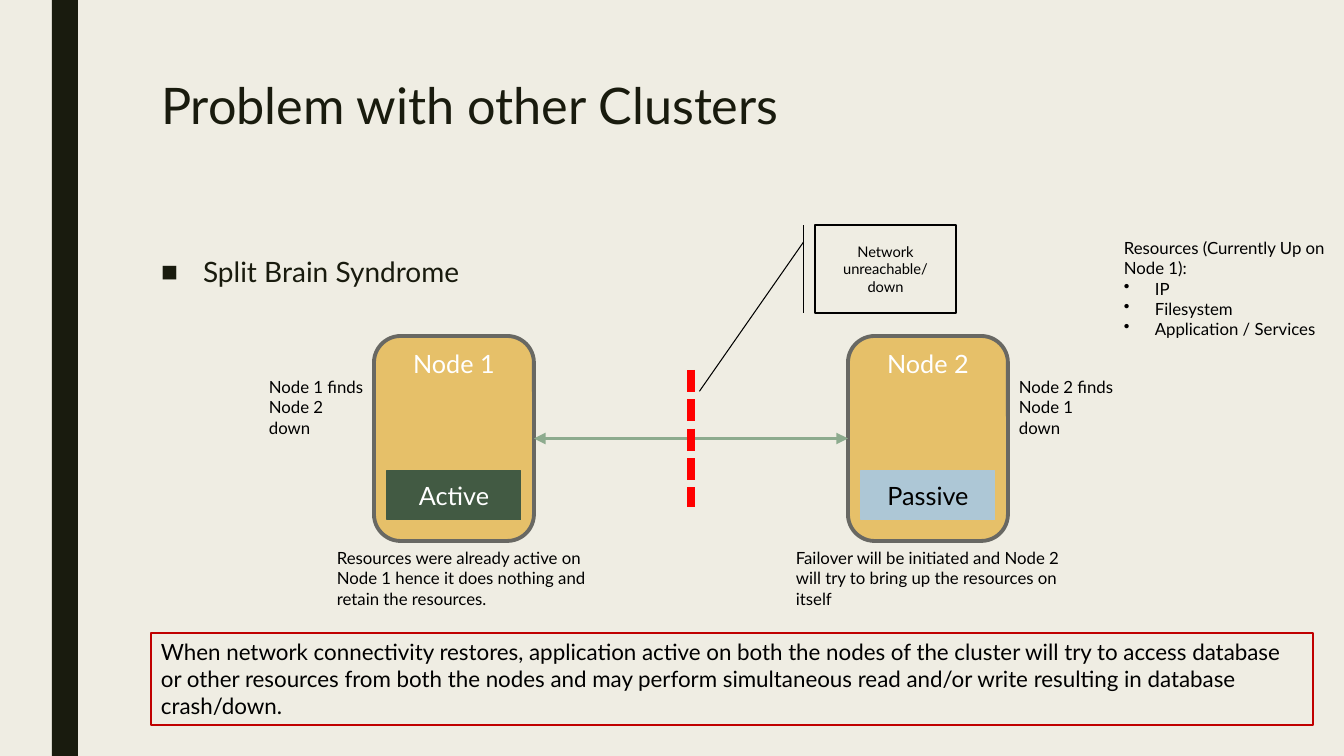
from lxml.etree import SubElement
from pptx import Presentation
from pptx.dml.color import RGBColor
from pptx.enum.dml import MSO_LINE
from pptx.enum.shapes import MSO_CONNECTOR, MSO_SHAPE
from pptx.enum.text import MSO_ANCHOR as ANCHOR, MSO_AUTO_SIZE as FIT, PP_ALIGN as ALIGN
from pptx.oxml.ns import qn
from pptx.util import Emu, Pt

BACK, INK, BLACK, WHITE = "EFEDE3", "191B0E", "000000", "FFFFFF"
GOLD, GREY, GREEN, BLUE = "E6C069", "686863", "425A43", "ADC7D6"
SAGE, RED, DARK_RED = "8DAB8E", "FF0000", "C00000"


def px(n):
    """Turn pixels into EMU."""
    return Emu(round(n * 914400 / 100.8))


def rgb(code):
    """Turn a hex string into a colour."""
    return RGBColor.from_string(code)


class Deck:
    """Holds the style and the current slide."""

    font = "Lato"

    def __init__(self, prs):
        """Add a title-and-content slide with the background colour."""
        self.s = prs.slides.add_slide(prs.slide_layouts[1])
        fill = self.s.background.fill
        fill.solid()
        fill.fore_color.rgb = rgb(BACK)

    def add_text(self, p, text, size, color):
        """Add one run to a paragraph."""
        r = p.add_run()
        r.text = text
        r.font.name, r.font.size = self.font, Pt(size)
        r.font.color.rgb = rgb(color)

    def bullet(self, p, char, indent):
        """Give a paragraph a bullet and a hanging indent in pixels."""
        pPr = p._p.get_or_add_pPr()
        pPr.set("marL", str(px(indent)))
        pPr.set("indent", str(-px(indent)))
        SubElement(pPr, qn("a:buChar")).set("char", char)

    def placeholder(self, index, box, text, size, spacing):
        """Move and fill a template placeholder; return its paragraph."""
        sp = self.s.placeholders[index]
        sp.left, sp.top, sp.width, sp.height = map(px, box)
        tf = sp.text_frame
        tf.auto_size, tf.vertical_anchor = FIT.NONE, ANCHOR.TOP
        p = tf.paragraphs[0]
        p.alignment, p.line_spacing = ALIGN.LEFT, spacing
        self.add_text(p, text, size, INK)
        return p

    def shape(self, kind, box, text="", size=18, color=BLACK, fill=None,
              line=None, width=0, align=ALIGN.CENTER, anchor=ANCHOR.MIDDLE):
        """Add a preset shape, with text if given."""
        sp = self.s.shapes.add_shape(kind, *map(px, box))
        sp.shadow.inherit = False
        if fill:
            sp.fill.solid()
            sp.fill.fore_color.rgb = rgb(fill)
        else:
            sp.fill.background()
        if line:
            sp.line.color.rgb = rgb(line)
            sp.line.width = Pt(width)
        else:
            sp.line.fill.background()
        if text:
            tf = sp.text_frame
            tf.word_wrap, tf.vertical_anchor = True, anchor
            p = tf.paragraphs[0]
            p.alignment = align
            self.add_text(p, text, size, color)
        return sp

    def note(self, box, text, items=()):
        """Add a small text box with an optional bulleted list."""
        tf = self.s.shapes.add_textbox(*map(px, box)).text_frame
        tf.word_wrap, tf.auto_size = True, FIT.SHAPE_TO_FIT_TEXT
        self.add_text(tf.paragraphs[0], text, 12, BLACK)
        for item in items:
            p = tf.add_paragraph()
            self.add_text(p, item, 12, BLACK)
            self.bullet(p, "•", 31)

    def line(self, ends, color, width, arrows=False):
        """Add a straight connector, with arrowheads at both ends if asked."""
        c = self.s.shapes.add_connector(MSO_CONNECTOR.STRAIGHT, *map(px, ends))
        c.line.color.rgb, c.line.width = rgb(color), Pt(width)
        spPr = c._element.spPr
        if arrows:
            for tag in ("a:headEnd", "a:tailEnd"):
                SubElement(spPr.find(qn("a:ln")), qn(tag)).set("type", "triangle")
        SubElement(spPr, qn("a:effectLst"))
        return c


prs = Presentation()
prs.slide_width, prs.slide_height = px(1344), px(756)
deck = Deck(prs)

deck.shape(MSO_SHAPE.RECTANGLE, (52, 0, 26, 756), fill=INK)
deck.placeholder(0, (151, 76, 1058, 163), "Problem with other Clusters", 36, 0.89)
topic = deck.placeholder(1, (151, 252, 1058, 395), "Split Brain Syndrome", 20, 0.94)
topic.space_before, topic.space_after = Pt(10), Pt(2)
deck.bullet(topic, "■", 42)

nodes = []
for x, name, role, role_fill, role_color in (
        (374, "Node 1", "Active", GREEN, WHITE),
        (848, "Node 2", "Passive", BLUE, BLACK)):
    nodes.append(deck.shape(MSO_SHAPE.ROUNDED_RECTANGLE, (x, 336, 160, 205), name,
                            color=WHITE, fill=GOLD, line=GREY, width=2.75,
                            anchor=ANCHOR.TOP))
    deck.shape(MSO_SHAPE.RECTANGLE, (x + 13, 471, 134, 49), role,
               color=role_color, fill=role_fill, line=role_fill)

network = deck.line((534, 438, 848, 438), SAGE, 2.75, arrows=True)
network.begin_connect(nodes[0], 3)
network.end_connect(nodes[1], 1)
network_break = deck.line((691, 370, 691, 507), RED, 5.25)
network_break.line.dash_style = MSO_LINE.SQUARE_DOT

callout = deck.shape(MSO_SHAPE.LINE_CALLOUT_1_BORDER_AND_ACCENT_BAR,
                     (815, 225, 141, 88), "Network unreachable/ down", 10.5,
                     fill=BACK, line=BLACK)
for i, value in enumerate((0.19, -0.08, 1.89, -0.82)):
    callout.adjustments[i] = value

deck.note((1114, 233, 250, 112), "Resources (Currently Up on Node 1):",
          ("IP", "Filesystem", "Application / Services"))
deck.note((259, 372, 115, 50), "Node 1 finds Node 2 down")
deck.note((1009, 372, 115, 50), "Node 2 finds Node 1 down")
deck.note((786, 543, 284, 72), "Failover will be initiated and Node 2 will try to "
          "bring up the resources on itself")
deck.note((327, 543, 284, 72), "Resources were already active on Node 1 hence it "
          "does nothing and retain the resources.")

deck.shape(MSO_SHAPE.RECTANGLE, (151, 633, 1162, 92),
           "When network connectivity restores, application active on both the nodes "
           "of the cluster will try to access database or other resources from both "
           "the nodes and may perform simultaneous read and/or write resulting in "
           "database crash/down.",
           16, line=DARK_RED, width=1.75, align=ALIGN.LEFT, anchor=ANCHOR.TOP)

prs.save("out.pptx")
